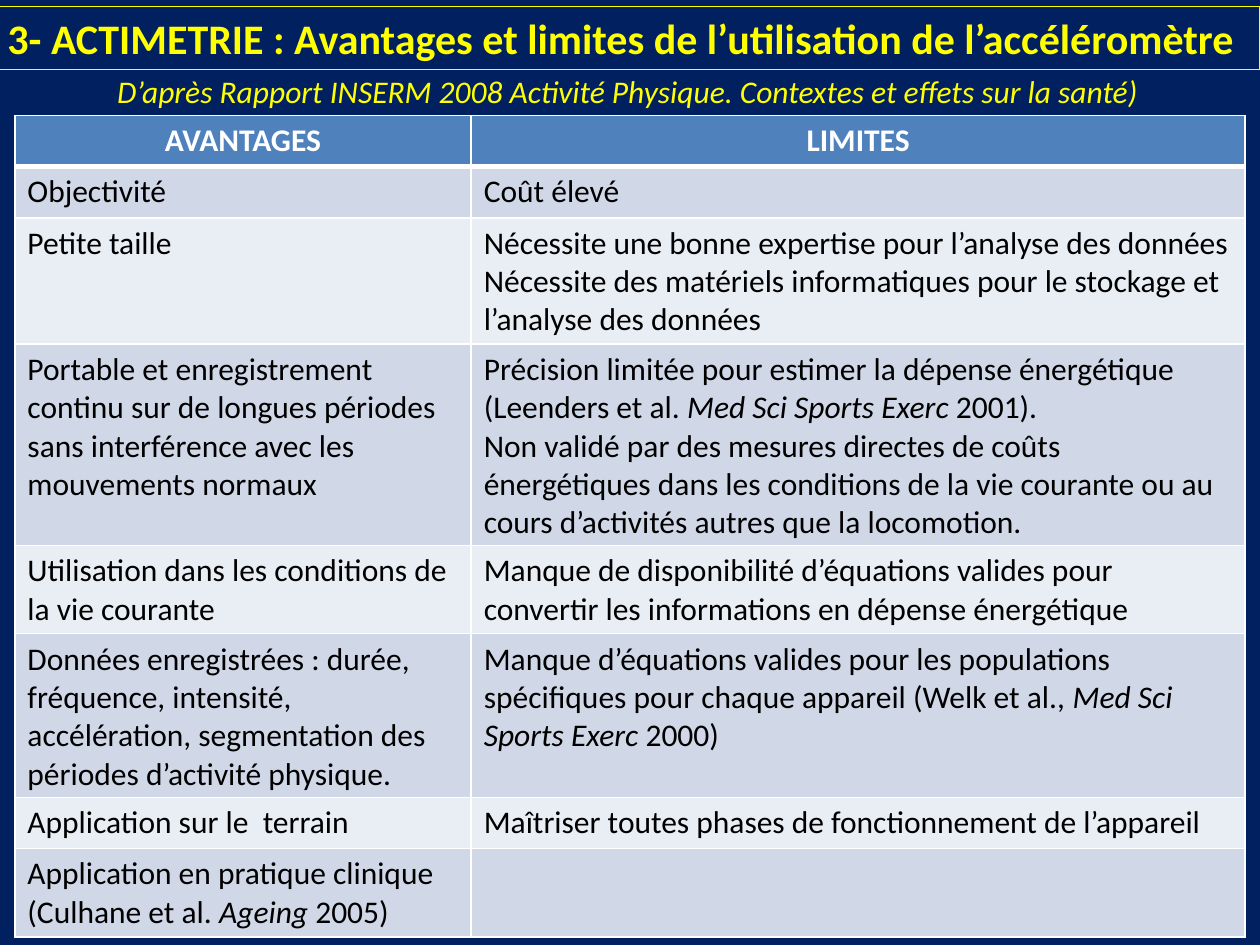
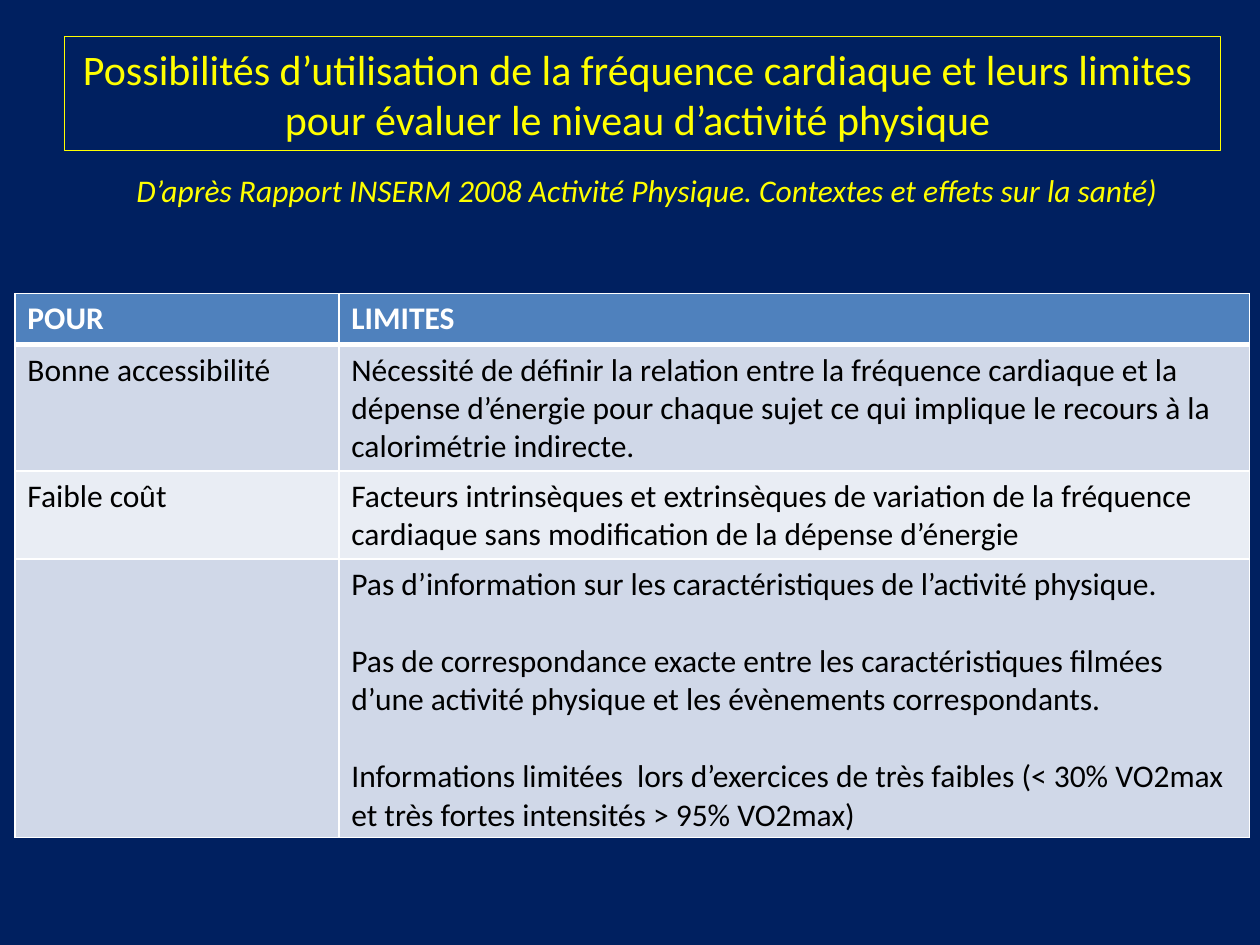
from lxml.etree import SubElement
from pptx import Presentation
from pptx.dml.color import RGBColor
from pptx.enum.shapes import MSO_SHAPE as Shape
from pptx.enum.text import MSO_ANCHOR as Anchor, MSO_AUTO_SIZE as AutoSize, PP_ALIGN as Align
from pptx.oxml.ns import qn
from pptx.util import Cm, Pt

FONT = "Calibri"
NAVY, YELLOW, WHITE, BLACK = "002060", "FFFF00", "FFFFFF", "000000"
HEADER_FILL = "4F81BD"
BAND_FILLS = ["D0D8E8", "E9EDF4"]
TITLE_SIZE, BODY_SIZE = 24, 18
ROW_HEIGHT = 1.03
TABLE_LEFT = 0.3
BLANK_LINE = 22
SOURCE = "D’après Rapport INSERM 2008 Activité Physique. Contextes et effets sur la santé)"

# A cell is a list of paragraphs; within a paragraph, "|" switches italics on and off.
SLIDES = [
    {
        "title": ["3- ACTIMETRIE : Avantages et limites de l’utilisation de l’accéléromètre"],
        "title_place": (-0.1, 0.13, 25.5, 1.27),
        "title_bold": True,
        "title_align": Align.LEFT,
        "source_place": (2.11, 1.32, 21.41, 1.02),
        "table_top": 2.33,
        "columns": [9.2, 15.6],
        "header_align": Align.CENTER,
        "paragraph_gap": 0,
        "rows": [
            (["AVANTAGES"], ["LIMITES"]),
            (["Objectivité"], ["Coût élevé"]),
            (["Petite taille"],
             ["Nécessite une bonne expertise pour l’analyse des données",
              "Nécessite des matériels informatiques pour le stockage et l’analyse des données"]),
            (["Portable et enregistrement continu sur de longues périodes sans interférence "
              "avec les mouvements normaux"],
             ["Précision limitée pour estimer la dépense énergétique (Leenders et al. "
              "|Med Sci Sports Exerc |2001).",
              "Non validé par des mesures directes de coûts énergétiques dans les conditions "
              "de la vie courante ou au cours d’activités autres que la locomotion."]),
            (["Utilisation dans les conditions de la vie courante"],
             ["Manque de disponibilité d’équations valides pour convertir les informations "
              "en dépense énergétique"]),
            (["Données enregistrées : durée, fréquence, intensité, accélération, "
              "segmentation des périodes d’activité physique."],
             ["Manque d’équations valides pour les populations spécifiques pour chaque "
              "appareil (Welk et al., |Med Sci Sports Exerc |2000)"]),
            (["Application sur le  terrain"],
             ["Maîtriser toutes phases de fonctionnement de l’appareil"]),
            (["Application en pratique clinique (Culhane et al. |Ageing |2005)"], []),
        ],
    },
    {
        "title": ["Possibilités d’utilisation de la fréquence cardiaque et leurs limites ",
                  "pour évaluer le niveau d’activité physique "],
        "title_place": (1.3, 0.73, 23.3, 2.31),
        "title_bold": False,
        "title_align": Align.CENTER,
        "source_place": (2.5, 3.32, 21.41, 1.02),
        "table_top": 5.92,
        "columns": [6.53, 18.36],
        "header_align": Align.LEFT,
        "paragraph_gap": BLANK_LINE,
        "rows": [
            (["POUR"], ["LIMITES"]),
            (["Bonne accessibilité"],
             ["Nécessité de définir la relation entre la fréquence cardiaque et la dépense "
              "d’énergie pour chaque sujet ce qui implique le recours à la calorimétrie indirecte."]),
            (["Faible coût"],
             ["Facteurs intrinsèques et extrinsèques de variation de la fréquence cardiaque "
              "sans modification de la dépense d’énergie"]),
            ([],
             ["Pas d’information sur les caractéristiques de l’activité physique.",
              "Pas de correspondance exacte entre les caractéristiques filmées d’une activité "
              "physique et les évènements correspondants.",
              "Informations limitées  lors d’exercices de très faibles (< 30% VO2max et très "
              "fortes intensités > 95% VO2max)"]),
        ],
    },
]


def color(code):
    return RGBColor.from_string(code)


def write(frame, paragraphs, size, ink, bold=False, italic=False, align=Align.LEFT, gap=0):
    for number, text in enumerate(paragraphs):
        para = frame.add_paragraph() if number else frame.paragraphs[0]
        para.alignment = align
        if number and gap:
            para.space_before = Pt(gap)
        for part, words in enumerate(text.split("|")):
            span = para.add_run()
            span.text = words
            font = span.font
            font.name, font.size, font.bold = FONT, Pt(size), bold
            font.italic = italic or part % 2 == 1
            font.color.rgb = color(ink)


def add_title(page, content):
    box = page.shapes.add_shape(Shape.RECTANGLE, *map(Cm, content["title_place"]))
    box.shadow.inherit = False
    box.fill.background()
    box.line.color.rgb = color(YELLOW)
    box.line.width = Pt(0.75)
    frame = box.text_frame
    frame.word_wrap = False
    frame.auto_size = AutoSize.SHAPE_TO_FIT_TEXT
    frame.vertical_anchor = Anchor.MIDDLE
    write(frame, content["title"], TITLE_SIZE, YELLOW,
          bold=content["title_bold"], align=content["title_align"])


def add_source(page, place):
    frame = page.shapes.add_textbox(*map(Cm, place)).text_frame
    frame.word_wrap = True
    frame.auto_size = AutoSize.SHAPE_TO_FIT_TEXT
    write(frame, [SOURCE], BODY_SIZE, YELLOW, italic=True)


def set_borders(cell, top, bottom):
    properties = cell._tc.get_or_add_tcPr()
    widths = {"lnL": 1, "lnR": 1, "lnT": top, "lnB": bottom}
    for position, (side, width) in enumerate(widths.items()):
        edge = SubElement(properties, qn("a:" + side), w=str(Pt(width)))
        fill = SubElement(edge, qn("a:solidFill"))
        SubElement(fill, qn("a:srgbClr"), val=WHITE)
        properties.insert(position, edge)


def add_comparison(page, content):
    rows, columns = content["rows"], content["columns"]
    table = page.shapes.add_table(
        len(rows), len(columns), Cm(TABLE_LEFT), Cm(content["table_top"]),
        Cm(sum(columns)), Cm(ROW_HEIGHT * len(rows))).table
    for column, width in zip(table.columns, columns):
        column.width = Cm(width)
    for index, row in enumerate(rows):
        header = index == 0
        for cell, paragraphs in zip(table.rows[index].cells, row):
            cell.fill.solid()
            cell.fill.fore_color.rgb = color(HEADER_FILL if header else BAND_FILLS[(index - 1) % 2])
            set_borders(cell, top=3 if index == 1 else 1, bottom=3 if header else 1)
            write(cell.text_frame, paragraphs, BODY_SIZE, WHITE if header else BLACK, bold=header,
                  align=content["header_align"] if header else Align.LEFT,
                  gap=content["paragraph_gap"])


def main():
    deck = Presentation()
    deck.slide_width, deck.slide_height = Cm(25.4), Cm(19.05)
    for content in SLIDES:
        page = deck.slides.add_slide(deck.slide_layouts[6])
        page.background.fill.solid()
        page.background.fill.fore_color.rgb = color(NAVY)
        add_title(page, content)
        add_comparison(page, content)
        add_source(page, content["source_place"])
    deck.save("out.pptx")


if __name__ == "__main__":
    main()
